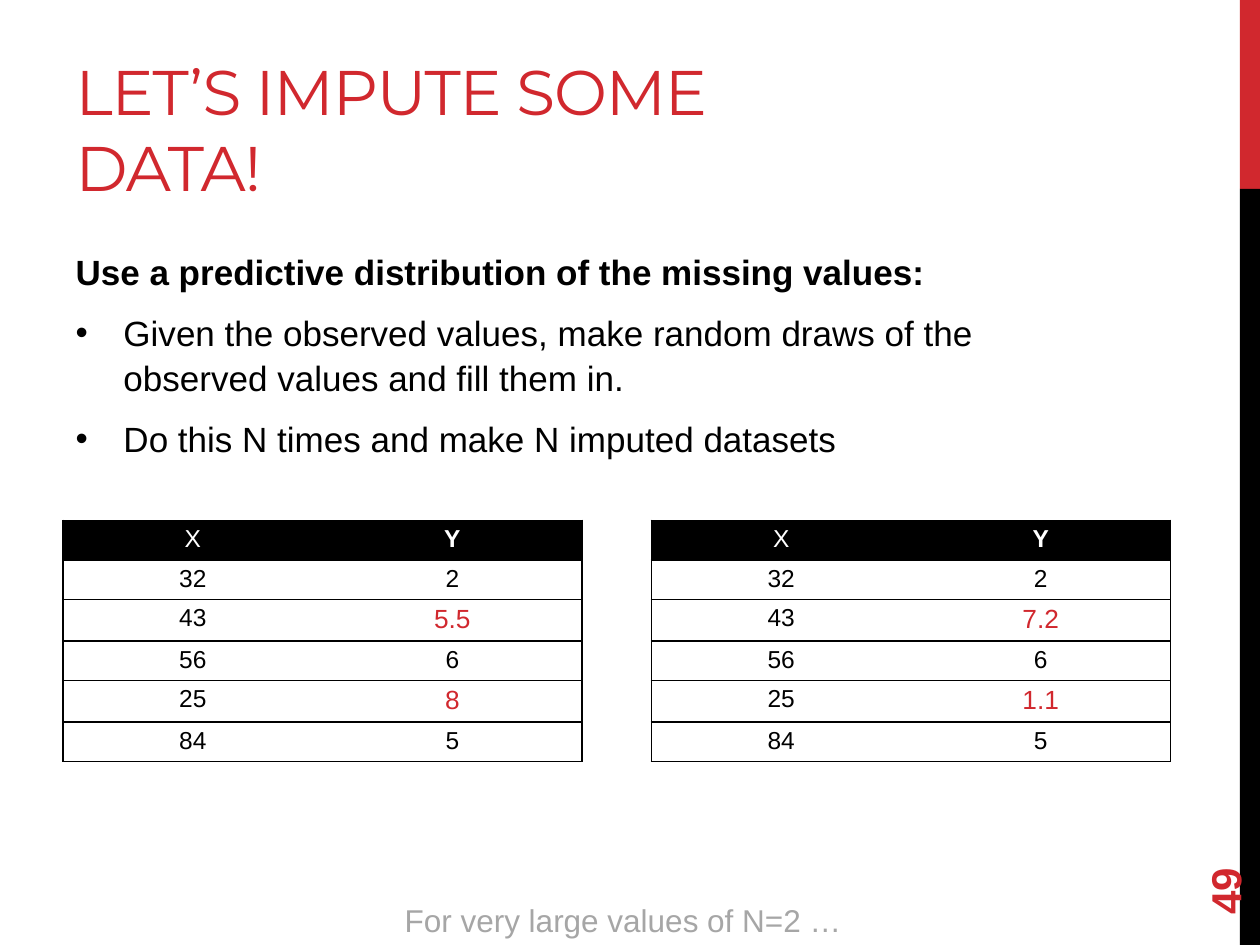
from lxml import etree
from pptx import Presentation
from pptx.dml.color import RGBColor
from pptx.enum.shapes import MSO_SHAPE
from pptx.enum.text import MSO_ANCHOR, MSO_AUTO_SIZE, PP_ALIGN
from pptx.oxml import parse_xml
from pptx.oxml.ns import nsdecls, qn
from pptx.util import Inches, Pt

RED, BLACK, WHITE, GRAY = "D1282E", "000000", "FFFFFF", "A6A6A6"


def color(value):
    return RGBColor.from_string(value)


def style(p, size, value, bold=False, name="Arial"):
    for r in p.runs:
        r.font.name = name
        r.font.size = Pt(size)
        r.font.bold = bold
        r.font.color.rgb = color(value)


prs = Presentation()
prs.slide_width, prs.slide_height = Inches(10), Inches(7.5)
s = prs.slides.add_slide(prs.slide_layouts[1])

for top, height, fill in [(0, 1.5, RED), (1.5, 6, BLACK)]:
    sp = s.shapes.add_shape(MSO_SHAPE.RECTANGLE, Inches(9.84), Inches(top), Inches(0.16), Inches(height))
    sp.shadow.inherit = False
    sp.fill.solid()
    sp.fill.fore_color.rgb = color(fill)
    sp.line.fill.background()

title = s.shapes.title
title.left, title.top, title.width, title.height = Inches(0.5), Inches(0.17), Inches(6.33), Inches(1.5)
tf = title.text_frame
tf.text = "LET’S IMPUTE SOME DATA!"
tf.auto_size = MSO_AUTO_SIZE.NONE
tf.vertical_anchor = MSO_ANCHOR.BOTTOM
p = tf.paragraphs[0]
p.alignment = PP_ALIGN.LEFT
style(p, 36, RED, name="Montserrat")
p.runs[0].font._element.set("spc", "-60")

body = s.placeholders[1]
body.left, body.top, body.width, body.height = Inches(0.5), Inches(1.92), Inches(8.33), Inches(4.78)
tf = body.text_frame
tf.text = "\n".join([
    "Use a predictive distribution of the missing values:",
    "Given the observed values, make random draws of the observed values and fill them in.",
    "Do this N times and make N imputed datasets",
])
tf.auto_size = MSO_AUTO_SIZE.NONE
for i, p in enumerate(tf.paragraphs):
    pPr = p._p.get_or_add_pPr()
    indent = Inches(0.38) if i else 0
    pPr.set("marL", str(indent))
    pPr.set("indent", str(-indent))
    if i:
        etree.SubElement(pPr, qn("a:buFont")).set("typeface", "Arial")
        etree.SubElement(pPr, qn("a:buChar")).set("char", "•")
    else:
        etree.SubElement(pPr, qn("a:buNone"))
    p.space_before = Pt(4 if i else 0)
    p.space_after = Pt(6)
    p.line_spacing = 1.05
    style(p, 20, BLACK, bold=i == 0)

number = s.shapes.add_textbox(Inches(9), Inches(6.44), Inches(1.44), Inches(0.4))
number.rotation = 270
tf = number.text_frame
tf.word_wrap = True
tf.vertical_anchor = MSO_ANCHOR.MIDDLE
tf.text = "49"
style(tf.paragraphs[0], 24, RED, bold=True)

x_values = ["32", "43", "56", "25", "84"]
imputed_rows = (2, 4)
datasets = [
    (0.5, ["2", "5.5", "6", "8", "5"]),
    (5.17, ["2", "7.2", "6", "1.1", "5"]),
]
for left, y_values in datasets:
    rows = [("X", "Y"), *zip(x_values, y_values)]
    frame = s.shapes.add_table(len(rows), 2, Inches(left), Inches(4.13), Inches(4.12), Inches(1.88))
    table = frame.table
    for i, row in enumerate(rows):
        table.rows[i].height = Inches(0.33 if i in imputed_rows else 0.3)
        for j, value in enumerate(row):
            cell = table.cell(i, j)
            cell.margin_left = cell.margin_right = Inches(0.07)
            cell.margin_top = cell.margin_bottom = Inches(0.04)
            cell.text = value
            p = cell.text_frame.paragraphs[0]
            p.alignment = PP_ALIGN.CENTER
            if i == 0:
                style(p, 14, WHITE, bold=j == 1)
            elif j == 1 and i in imputed_rows:
                style(p, 15, RED)
            else:
                style(p, 14, BLACK)
            tcPr = cell._tc.get_or_add_tcPr()
            outer, inner = ("lnL", "lnR") if j == 0 else ("lnR", "lnL")
            for side in ("lnL", "lnR", "lnT", "lnB"):
                paint = "<a:noFill/>" if side == inner else f'<a:solidFill><a:srgbClr val="{BLACK}"/></a:solidFill>'
                tcPr.append(parse_xml(f'<a:{side} {nsdecls("a")} w="12700">{paint}</a:{side}>'))
            cell.fill.solid()
            cell.fill.fore_color.rgb = color(WHITE if i else BLACK)

note = s.shapes.add_textbox(Inches(3.01), Inches(7.1), Inches(3.87), Inches(0.4))
tf = note.text_frame
tf.word_wrap = True
tf.text = "For very large values of N=2 …"
p = tf.paragraphs[0]
p.alignment = PP_ALIGN.CENTER
style(p, 18, GRAY)

prs.save("out.pptx")
